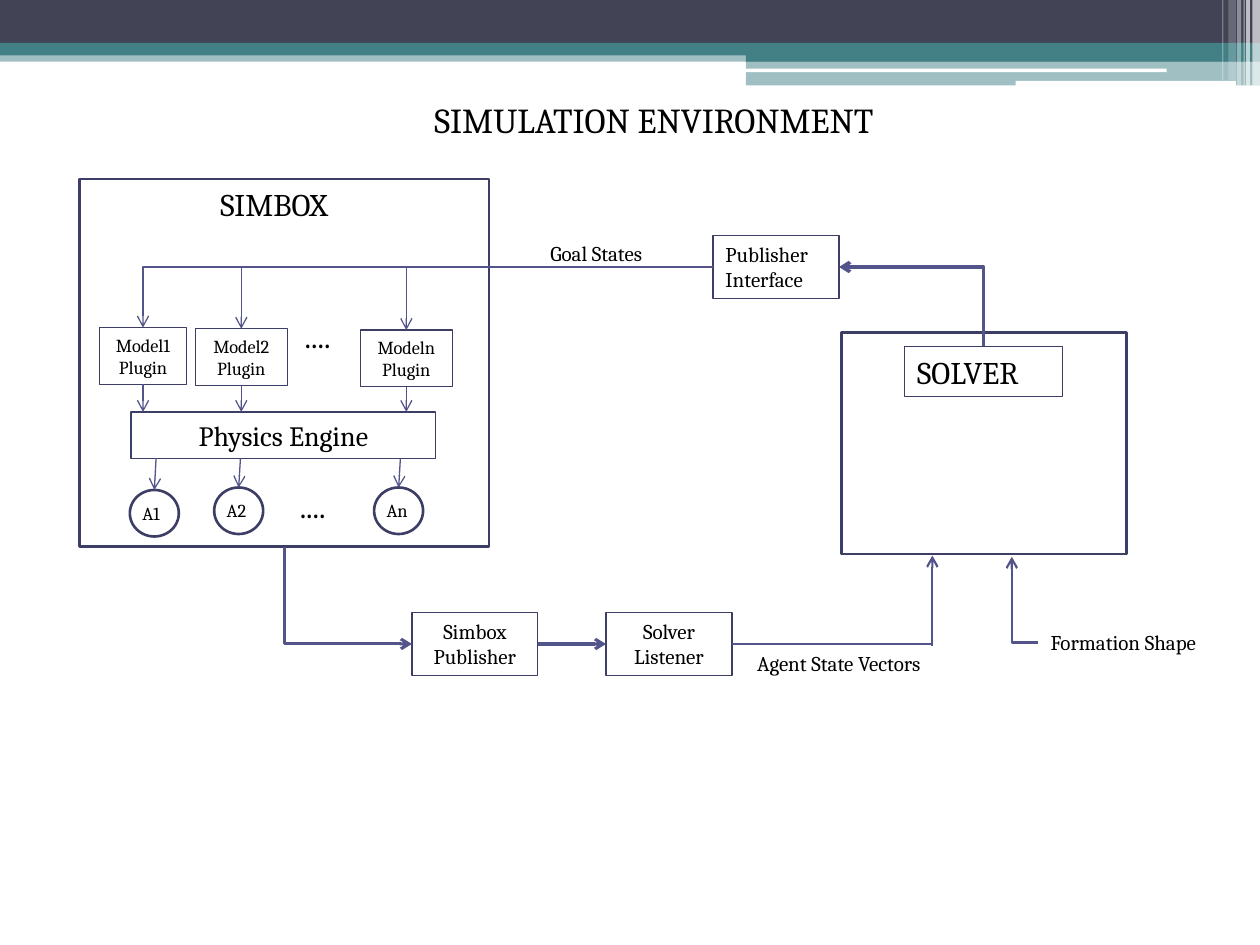
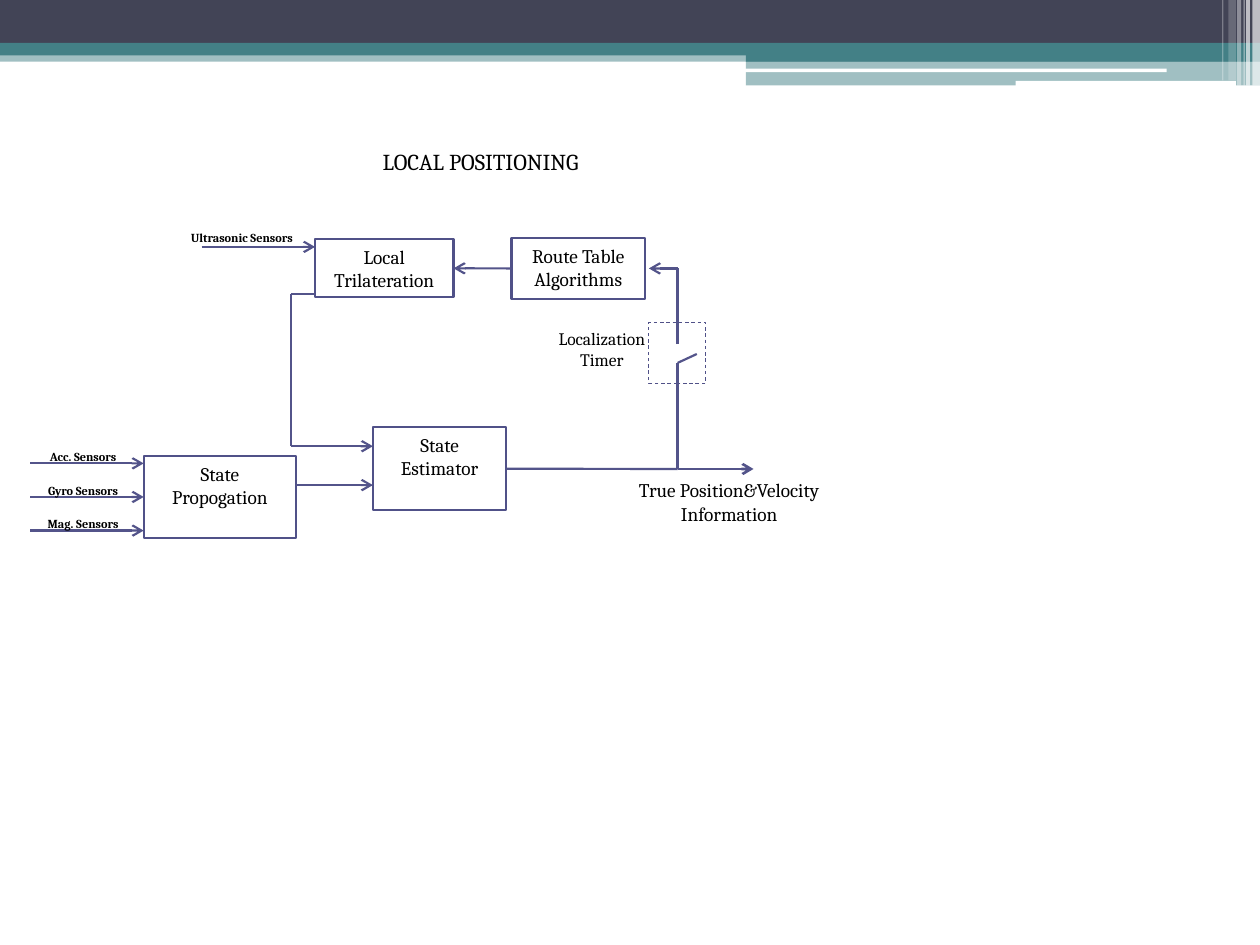
"""Build two block-diagram slides: a simulation environment and local positioning."""
from lxml.etree import SubElement
from pptx import Presentation
from pptx.dml.color import RGBColor
from pptx.enum.dml import MSO_LINE
from pptx.enum.shapes import MSO_CONNECTOR as Connector, MSO_SHAPE as Shape
from pptx.enum.text import MSO_ANCHOR as Anchor, MSO_AUTO_SIZE as AutoSize, PP_ALIGN as Align
from pptx.oxml.ns import qn
from pptx.util import Pt

FONT = "Cambria"
BLACK = RGBColor(0x00, 0x00, 0x00)
WHITE = RGBColor(0xFF, 0xFF, 0xFF)
SLATE = RGBColor(0x42, 0x44, 0x56)
TEAL = RGBColor(0x43, 0x80, 0x86)
ARROW = RGBColor(0x53, 0x54, 0x8A)
OUTLINE = RGBColor(0x3D, 0x3E, 0x66)
OUTLINE_LIGHT = RGBColor(0x50, 0x51, 0x88)
TOP, LEFT, BOTTOM, RIGHT = range(4)

BANDS = [
    (0, 28.8, 720, 6.5, TEAL, 50),
    (0, 0, 720, 24.5, SLATE, 100),
    (0, 24.5, 720, 7.2, TEAL, 100),
    (426.2, 28.1, 293.8, 7.2, TEAL, 100),
    (426.2, 34.9, 293.8, 14, TEAL, 50),
    (425.5, 39.2, 241.2, 2, WHITE, 100),
    (580.3, 46.2, 126, 2.9, WHITE, 100),
    (715.7, 0, 4.3, 49, WHITE, 65),
    (712.1, 0, 2.2, 49, WHITE, 65),
    (710.6, 0, 0.7, 49, WHITE, 60),
    (707, 0, 2.2, 49, WHITE, 40),
    (702, 0, 4.3, 46, WHITE, 20),
    (698.4, 0, 0.7, 46, WHITE, 30),
]


def add_bands(slide):
    """Draw the header bands and move them to the layout behind the slide."""
    tree = slide.slide_layout.shapes.element
    for index, (left, top, width, height, color, opacity) in enumerate(BANDS):
        band = slide.shapes.add_shape(Shape.RECTANGLE, Pt(left), Pt(top), Pt(width), Pt(height))
        band.shadow.inherit = False
        band.line.fill.background()
        band.fill.solid()
        band.fill.fore_color.rgb = color
        if opacity < 100:
            color_element = band.element.spPr.find(".//" + qn("a:srgbClr"))
            SubElement(color_element, qn("a:alpha")).set("val", str(opacity * 1000))
        tree.insert(2 + index, band.element)


def write(shape, lines, size, align=Align.LEFT, wrap=True, bold=False):
    """Fill a shape with one paragraph per line of text."""
    frame = shape.text_frame
    frame.auto_size = AutoSize.NONE
    frame.word_wrap = wrap
    frame.vertical_anchor = Anchor.TOP
    frame.margin_left = frame.margin_right = Pt(7.2)
    frame.margin_top = frame.margin_bottom = Pt(3.6)
    for index, line in enumerate(lines):
        paragraph = frame.add_paragraph() if index else frame.paragraphs[0]
        paragraph.alignment = align
        run = paragraph.add_run()
        run.text = line
        run.font.name = FONT
        run.font.size = Pt(size)
        run.font.bold = bold
        run.font.color.rgb = BLACK


def add_title(slide, area, text, size, align):
    """Place and fill the title placeholder."""
    title = slide.shapes.title
    title.left, title.top, title.width, title.height = map(Pt, area)
    write(title, [text], size, align, wrap=False)


def add_label(slide, area, lines, size, align=Align.LEFT, bold=False):
    """Add an unframed text label."""
    label = slide.shapes.add_textbox(*map(Pt, area))
    write(label, lines, size, align, wrap=False, bold=bold)
    return label


def add_box(slide, area, weight, lines=(), size=12, align=Align.CENTER,
            color=OUTLINE, kind=Shape.RECTANGLE):
    """Add an outlined, unfilled block with optional text."""
    box = slide.shapes.add_shape(kind, *map(Pt, area))
    box.shadow.inherit = False
    box.fill.background()
    box.line.color.rgb = color
    box.line.width = Pt(weight)
    write(box, lines, size, align)
    return box


def add_line(slide, begin, end, weight, arrow=None, bent=False):
    """Link two ends, each a point or a (shape, side) pair; a bend runs horizontally first."""
    joined = [not isinstance(place[0], (int, float)) for place in (begin, end)]
    start, finish = [(0, 0) if join else place for join, place in zip(joined, (begin, end))]
    kind = Connector.ELBOW if bent else Connector.STRAIGHT
    line = slide.shapes.add_connector(kind, *map(Pt, (*start, *finish)))
    if joined[0]:
        line.begin_connect(*begin)
    if joined[1]:
        line.end_connect(*end)
    line.line.color.rgb = ARROW
    line.line.width = Pt(weight)
    properties = line.element.spPr
    if bent:
        properties.find(qn("a:prstGeom")).set("prst", "bentConnector2")
    if arrow:
        SubElement(properties.find(qn("a:ln")), qn(f"a:{arrow}End")).set("type", "arrow")
    SubElement(properties, qn("a:effectLst"))


def add_simulator(slide, publisher):
    """Draw the simulator frame with its plugins, engine and agents."""
    bus_y, engine_top, engine_bottom = 152.6, 235.4, 262
    add_label(slide, (118.8, 102.2, 208, 28.8), ["SIMBOX"], 18)
    frame = add_box(slide, (45.4, 102.2, 234, 210.2), 1.5)
    add_box(slide, (74.9, engine_top, 174.2, engine_bottom - engine_top), 0.75,
            ["Physics Engine"], 16)
    plugins = [("1", 56.9, 187.2, 49.7), ("2", 111.6, 187.9, 52.6), ("n", 205.9, 188.6, 52.6)]
    for suffix, left, top, width in plugins:
        plugin = add_box(slide, (left, top, width, 32.4), 0.75,
                         [f"Model{suffix}", "Plugin"], 10.5)
        middle = left + width / 2
        if suffix == "1":
            add_line(slide, (publisher, LEFT), (plugin, TOP), 0.75, "tail", bent=True)
        else:
            add_line(slide, (middle, bus_y), (plugin, TOP), 0.75, "tail")
        add_line(slide, (plugin, BOTTOM), (middle, engine_top), 0.75, "tail")
    for suffix, left, top in [("1", 74.2, 280), ("2", 122.4, 278.6), ("n", 213.8, 278.6)]:
        agent = add_box(slide, (left, top, 28, 26.6), 1.5, kind=Shape.OVAL)
        add_label(slide, (left, top + 3.2, 27, 20.2), [f"A{suffix}"], 10.5)
        add_line(slide, (left + 15, engine_bottom), (agent, TOP), 0.75, "tail")
    for left, top in [(167, 177.8), (164.2, 275)]:
        add_label(slide, (left, top, 34.6, 28.8), ["...."], 18)
    return frame


def draw_simulation(slide):
    """Draw the simulation environment diagram."""
    add_title(slide, (221.8, 52.6, 303.8, 31.7), "SIMULATION ENVIRONMENT", 20, Align.CENTER)
    publisher = add_box(slide, (407.5, 134.6, 72, 36), 0.75, ["Publisher Interface"],
                        align=Align.LEFT)
    simulator = add_simulator(slide, publisher)
    add_label(slide, (307.4, 133.9, 74.2, 21.6), ["Goal States"], 12)

    solver = add_box(slide, (517, 198, 90, 28.8), 0.75, ["SOLVER"], 18, Align.LEFT)
    add_box(slide, (481, 190, 162.7, 126.7), 1.5)
    add_line(slide, (publisher, RIGHT), (solver, TOP), 2, "head", bent=True)

    state_publisher = add_box(slide, (235.4, 350, 72, 36), 0.75, ["Simbox Publisher"])
    listener = add_box(slide, (346.3, 350, 72, 36), 0.75, ["Solver Listener"])
    add_line(slide, (state_publisher, LEFT), (simulator, BOTTOM), 1.75, "head", bent=True)
    add_line(slide, (state_publisher, RIGHT), (listener, LEFT), 1.75, "tail")
    add_line(slide, (listener, RIGHT), (532.8, 368), 1.25)
    add_line(slide, (532.8, 369), (532.8, 317.5), 1.25, "tail")
    add_label(slide, (425.5, 368, 118.8, 21.6), ["Agent State Vectors"], 12)
    formation = add_label(slide, (593.3, 356.4, 107.3, 21.6), ["Formation Shape"], 12)
    add_line(slide, (formation, LEFT), (578.2, 318.2), 1.25, "tail", bent=True)


def draw_positioning(slide):
    """Draw the local positioning diagram."""
    add_title(slide, (211.4, 80.6, 163.4, 22.3), "LOCAL POSITIONING", 13, Align.LEFT)
    blocks = [
        ((180, 136.8, 79.2, 33.1), ["Local Trilateration"]),
        ((292.3, 136.1, 76.3, 34.6), ["Route Table", "Algorithms"]),
        ((82.1, 260.6, 87.1, 46.8), ["State Propogation"]),
        ((213.1, 244.1, 76.3, 47.5), ["State Estimator"]),
    ]
    trilateration, routes, propagation, estimator = [
        add_box(slide, area, 1.25, lines, 11, color=OUTLINE_LIGHT) for area, lines in blocks]

    timer = add_box(slide, (370.8, 184.3, 32.4, 34.6), 0.5, color=OUTLINE_LIGHT)
    timer.line.dash_style = MSO_LINE.DASH
    add_label(slide, (309, 184, 69.8, 32.4), ["Localization", "Timer"], 10, Align.CENTER)

    switch_x, return_x, output_y = 387.2, 166.3, 268
    plain_lines = [
        ((switch_x, 196.6), (switch_x, 153.4)),
        ((switch_x, 207.4), (398.2, 202.3)),
        ((switch_x, 207.4), (switch_x, output_y)),
        ((estimator, RIGHT), (switch_x, output_y)),
        ((return_x, 167.8), (180, 167.8)),
        ((return_x, 167.8), (return_x, 255)),
    ]
    for begin, end in plain_lines:
        add_line(slide, begin, end, 1.25)
    arrows = [
        ((switch_x, 153.4), (370.8, 153.4)),
        ((routes, LEFT), (trilateration, RIGHT)),
        ((return_x, 255), (213.1, 255)),
        ((169.2, 277.2), (213.1, 277.2)),
        ((115.2, 141.1), (180, 141.1)),
    ]
    for begin, end in arrows:
        add_line(slide, begin, end, 1.25, "tail")
    add_line(slide, (switch_x, output_y), (430.6, output_y), 1.5, "tail")

    add_label(slide, (97.2, 128.2, 82.1, 15.1), ["Ultrasonic Sensors"], 7, Align.CENTER, True)
    for index, sensor in enumerate(["Acc.", "Gyro", "Mag."]):
        y = 284 + 19.2 * (index - 1)
        end = (propagation, LEFT) if sensor == "Gyro" else (82.1, y)
        add_line(slide, (17.3, y), end, 1.25, "tail")
        add_label(slide, (17, y - 11.5, 61, 15.1), [f"{sensor} Sensors"], 7, Align.CENTER, True)
    add_label(slide, (351.2, 270, 131, 33.8), ["True Position&Velocity", "Information"],
              11, Align.CENTER)


def main():
    """Build and save the presentation."""
    presentation = Presentation()
    presentation.slide_width, presentation.slide_height = Pt(720), Pt(540)
    layout = presentation.slide_layouts[5]
    simulation, positioning = [presentation.slides.add_slide(layout) for _ in range(2)]
    add_bands(simulation)
    draw_simulation(simulation)
    draw_positioning(positioning)
    presentation.save("out.pptx")


if __name__ == "__main__":
    main()
